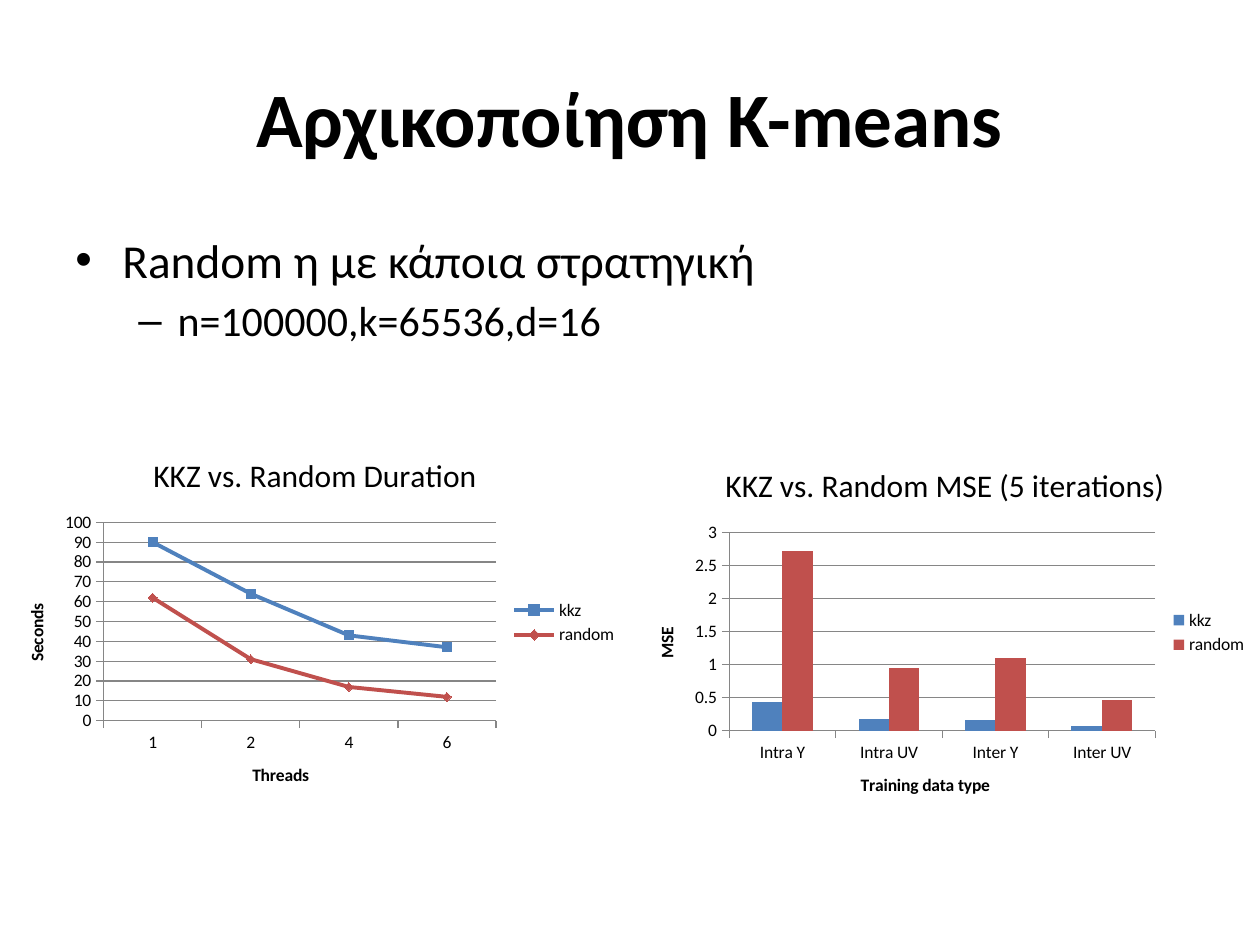
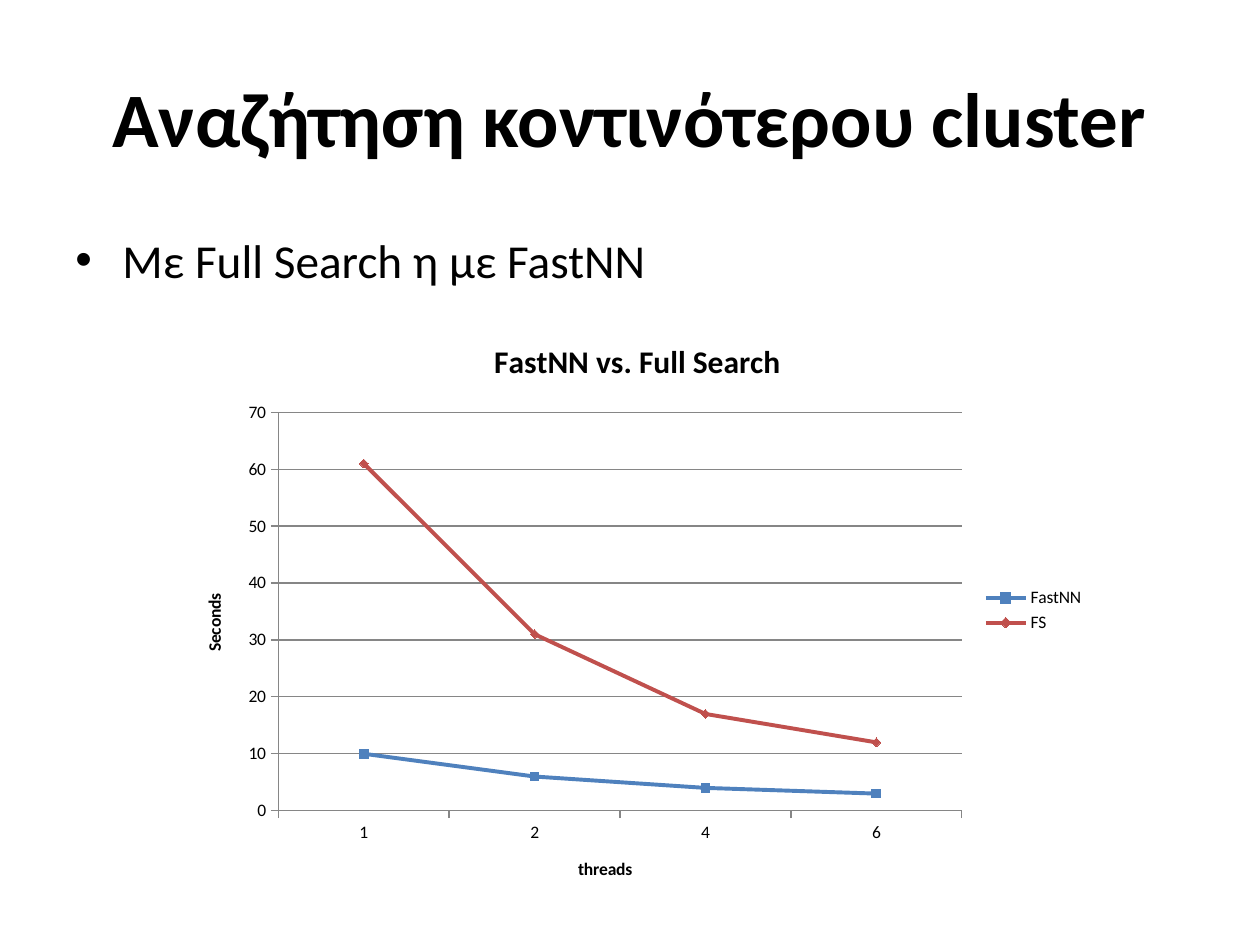
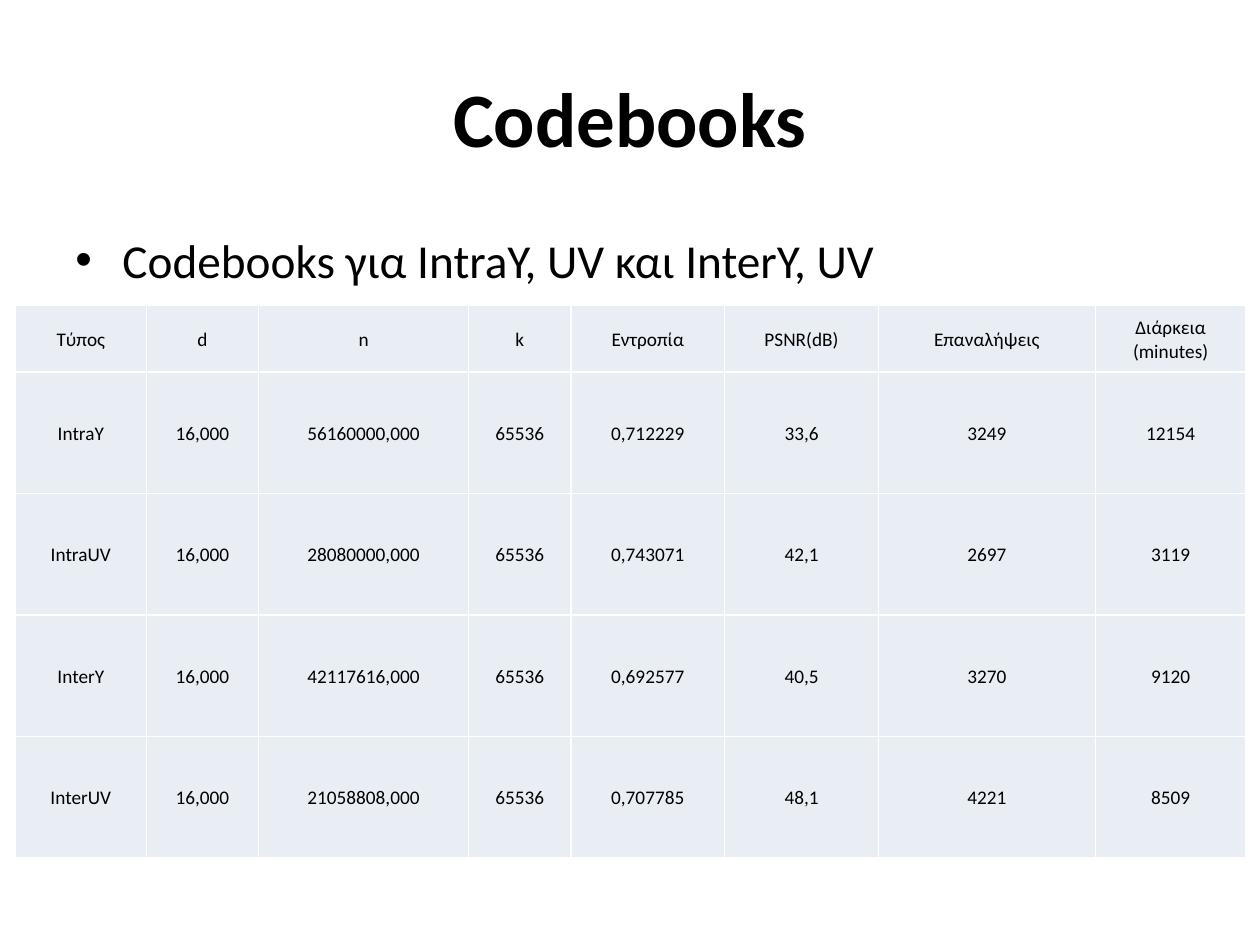
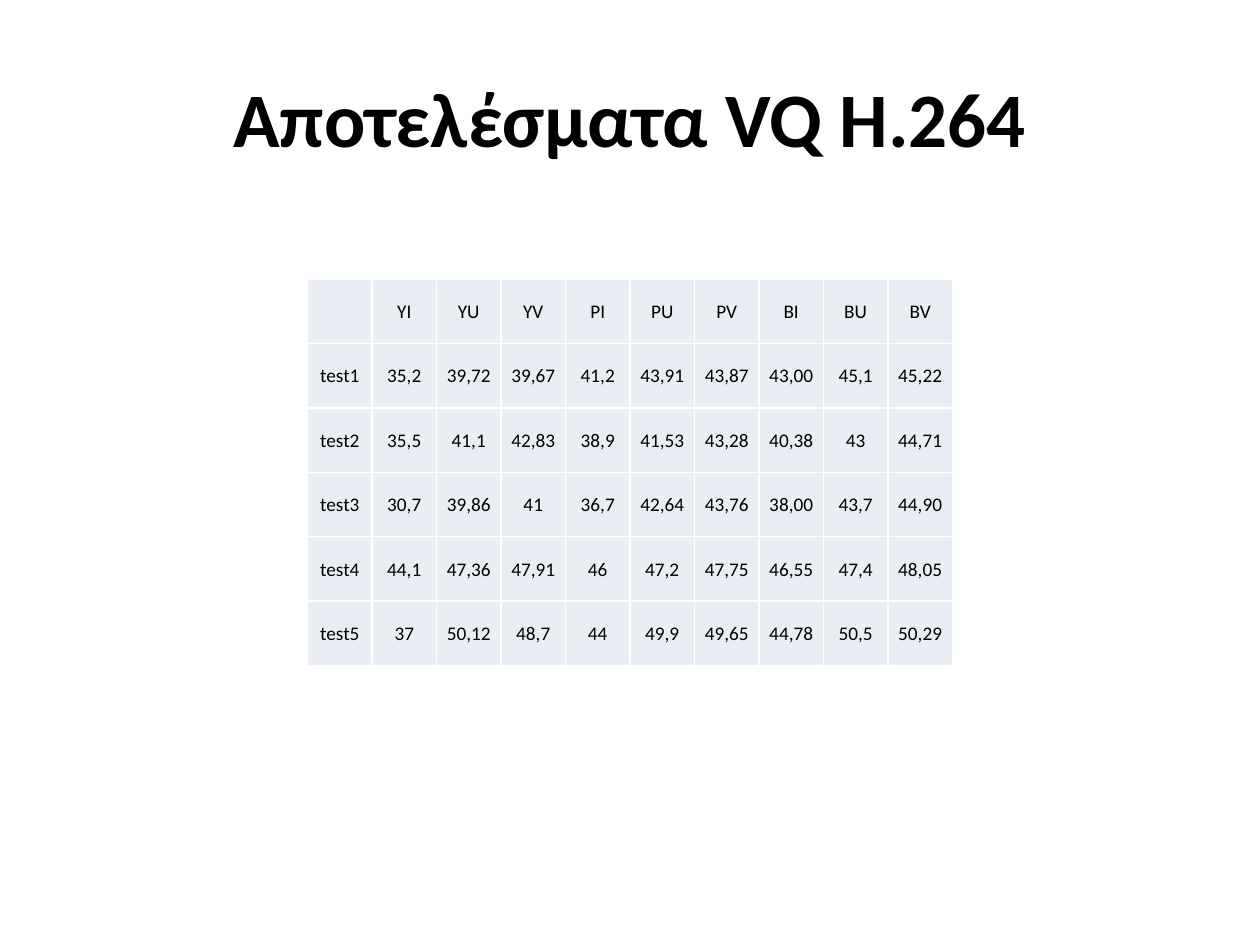
"""Build four slides on K-means initialisation, cluster search, codebooks and VQ H.264 results."""
from lxml.etree import SubElement
from pptx import Presentation
from pptx.chart.data import CategoryChartData
from pptx.dml.color import RGBColor
from pptx.enum.chart import XL_CHART_TYPE as ChartType
from pptx.enum.chart import XL_LEGEND_POSITION as LegendPosition
from pptx.enum.chart import XL_MARKER_STYLE as MarkerStyle
from pptx.enum.chart import XL_TICK_MARK as TickMark
from pptx.enum.text import MSO_ANCHOR as Anchor
from pptx.enum.text import PP_ALIGN as Align
from pptx.oxml.ns import qn
from pptx.util import Cm, Pt

BLACK = RGBColor(0x00, 0x00, 0x00)
WHITE = RGBColor(0xFF, 0xFF, 0xFF)
GRAY = RGBColor(0x86, 0x86, 0x86)
BLUE = RGBColor(0x4F, 0x81, 0xBD)
RED = RGBColor(0xC0, 0x50, 0x4D)
PALE = RGBColor(0xE9, 0xED, 0xF4)
FONT = "Calibri"

SERIES_STYLES = [(BLUE, MarkerStyle.SQUARE), (RED, MarkerStyle.DIAMOND)]
BULLET_LEVELS = [
    dict(size=27, bullet="•", indent=0.95, hanging=0.95),
    dict(size=24, bullet="–", indent=2.06, hanging=0.79, space_before=4),
]
THREADS = ["1", "2", "4", "6"]
LINE, COLUMN = ChartType.LINE_MARKERS, ChartType.COLUMN_CLUSTERED

SLIDES = [
    dict(
        title="Αρχικοποίηση K-means",
        bullets=["Random η με κάποια στρατηγική", "n=100000,k=65536,d=16"],
        charts=[
            dict(kind=LINE, place=(0, 8.74, 12.7, 7.62), title="KKZ vs. Random Duration",
                 bold=False, axis_titles=("Threads", "Seconds"), top=100, step=10,
                 categories=THREADS,
                 series={"kkz": [90, 64, 43, 37], "random": [62, 31, 17, 12]}),
            dict(kind=COLUMN, place=(12.7, 8.94, 12.7, 7.62),
                 title="ΚΚΖ vs. Random MSE (5 iterations)",
                 bold=False, axis_titles=("Training data type", "MSE"), top=3, step=0.5,
                 categories=["Intra Y", "Intra UV", "Inter Y", "Inter UV"],
                 series={"kkz": [0.43, 0.18, 0.16, 0.07],
                         "random": [2.71, 0.94, 1.09, 0.46]}),
        ],
    ),
    dict(
        title="Αναζήτηση κοντινότερου cluster",
        bullets=["Με Full Search η με FastNN"],
        charts=[
            dict(kind=LINE, place=(3.58, 6.35, 18.54, 11.91), title="FastNN vs. Full Search",
                 bold=True, axis_titles=("threads", "Seconds"), top=70, step=10,
                 categories=THREADS,
                 series={"FastNN": [10, 6, 4, 3], "FS": [61, 31, 17, 12]}),
        ],
    ),
    dict(
        title="Codebooks",
        bullets=["Codebooks για IntraY, UV και InterY, UV"],
        table=dict(
            left=0.31, top=6.16,
            widths=[2.64, 2.26, 4.24, 2.06, 3.1, 3.1, 4.37, 3.04],
            heights=[1.34] + [2.45] * 4,
            rows=[
                ["Τύπος", "d", "n", "k", "Εντροπία", "PSNR(dB)", "Επαναλήψεις",
                 "Διάρκεια (minutes)"],
                ["IntraY", "16,000", "56160000,000", "65536", "0,712229", "33,6", "3249", "12154"],
                ["IntraUV", "16,000", "28080000,000", "65536", "0,743071", "42,1", "2697", "3119"],
                ["InterY", "16,000", "42117616,000", "65536", "0,692577", "40,5", "3270", "9120"],
                ["InterUV", "16,000", "21058808,000", "65536", "0,707785", "48,1", "4221", "8509"],
            ],
        ),
    ),
    dict(
        title="Αποτελέσματα VQ H.264",
        table=dict(
            left=6.2, top=5.62, widths=[1.3] * 10, heights=[1.3] * 6,
            rows=[
                ["", "YI", "YU", "YV", "PI", "PU", "PV", "BI", "BU", "BV"],
                ["test1", "35,2", "39,72", "39,67", "41,2", "43,91", "43,87", "43,00", "45,1",
                 "45,22"],
                ["test2", "35,5", "41,1", "42,83", "38,9", "41,53", "43,28", "40,38", "43",
                 "44,71"],
                ["test3", "30,7", "39,86", "41", "36,7", "42,64", "43,76", "38,00", "43,7",
                 "44,90"],
                ["test4", "44,1", "47,36", "47,91", "46", "47,2", "47,75", "46,55", "47,4",
                 "48,05"],
                ["test5", "37", "50,12", "48,7", "44", "49,9", "49,65", "44,78", "50,5",
                 "50,29"],
            ],
        ),
    ),
]


def write(frame, text, size, bold=False, align=None, bullet=None, indent=0, hanging=0,
          space_before=0):
    """Add one formatted paragraph to a text frame."""
    paragraph = frame.add_paragraph() if frame.text else frame.paragraphs[0]
    if align is not None:
        paragraph.alignment = align
    if space_before:
        paragraph.space_before = Pt(space_before)
    if bullet:
        properties = paragraph._p.get_or_add_pPr()
        properties.set("marL", str(Cm(indent)))
        properties.set("indent", str(-Cm(hanging)))
        SubElement(properties, qn("a:buFont")).set("typeface", "Arial")
        SubElement(properties, qn("a:buChar")).set("char", bullet)
    run = paragraph.add_run()
    run.text = text
    run.font.name = FONT
    run.font.size = Pt(size)
    run.font.bold = bold
    run.font.color.rgb = BLACK


presentation = Presentation()
presentation.slide_width, presentation.slide_height = Cm(25.4), Cm(19.05)

for content in SLIDES:
    slide = presentation.slides.add_slide(presentation.slide_layouts[6])
    title = slide.shapes.add_textbox(Cm(1.27), Cm(0.76), Cm(22.86), Cm(3.18)).text_frame
    title.word_wrap = True
    title.vertical_anchor = Anchor.MIDDLE
    write(title, content["title"], size=44, bold=True, align=Align.CENTER)

    if "bullets" in content:
        body = slide.shapes.add_textbox(Cm(1.27), Cm(4.45), Cm(22.86), Cm(12.57)).text_frame
        body.word_wrap = True
        body.margin_top = Cm(0.21)
        for text, level in zip(content["bullets"], BULLET_LEVELS):
            write(body, text, **level)

    for item in content.get("charts", []):
        data = CategoryChartData()
        data.categories = item["categories"]
        for name, values in item["series"].items():
            data.add_series(name, values)
        place = [Cm(length) for length in item["place"]]
        chart = slide.shapes.add_chart(item["kind"], *place, data).chart
        chart.font.name, chart.font.size = FONT, Pt(10)
        chart.font.color.rgb = BLACK
        chart.has_title = True
        write(chart.chart_title.text_frame, item["title"], size=18, bold=item["bold"])
        chart.chart_title.include_in_layout = False
        chart.has_legend = True
        chart.legend.position = LegendPosition.RIGHT
        chart.legend.include_in_layout = False

        for axis, text in zip((chart.category_axis, chart.value_axis), item["axis_titles"]):
            write(axis.axis_title.text_frame, text, size=10, bold=True)
            axis.major_tick_mark = TickMark.OUTSIDE
            axis.minor_tick_mark = TickMark.NONE
            axis.format.line.color.rgb = GRAY
        chart.value_axis.minimum_scale = 0
        chart.value_axis.maximum_scale = item["top"]
        chart.value_axis.major_unit = item["step"]
        chart.value_axis.has_major_gridlines = True
        chart.value_axis.major_gridlines.format.line.color.rgb = GRAY

        plot = chart.plots[0]
        plot.vary_by_categories = False
        if item["kind"] == COLUMN:
            plot.gap_width, plot.overlap = 150, 0
        for series, (color, marker_style) in zip(plot.series, SERIES_STYLES):
            fills = [series.format.fill]
            if item["kind"] == LINE:
                series.smooth = False
                series.format.line.color.rgb = color
                series.format.line.width = Pt(2.25)
                series.marker.style = marker_style
                series.marker.size = 5
                series.marker.format.line.color.rgb = color
                fills = [series.marker.format.fill]
            for fill in fills:
                fill.solid()
                fill.fore_color.rgb = color

    if "table" in content:
        grid = content["table"]
        widths, heights = grid["widths"], grid["heights"]
        table = slide.shapes.add_table(
            len(heights), len(widths), Cm(grid["left"]), Cm(grid["top"]),
            Cm(sum(widths)), Cm(sum(heights))).table
        table.first_row = table.horz_banding = False
        for column, width in zip(table.columns, widths):
            column.width = Cm(width)
        for row, height, texts in zip(table.rows, heights, grid["rows"]):
            row.height = Cm(height)
            for cell, text in zip(row.cells, texts):
                cell.margin_left = cell.margin_right = cell.margin_top = Cm(0.03)
                cell.margin_bottom = 0
                cell.vertical_anchor = Anchor.MIDDLE
                for side in ("a:lnL", "a:lnR", "a:lnT", "a:lnB"):
                    border = SubElement(cell._tc.get_or_add_tcPr(), qn(side), w=str(Pt(1)))
                    border_fill = SubElement(border, qn("a:solidFill"))
                    SubElement(border_fill, qn("a:srgbClr"), val=str(WHITE))
                cell.fill.solid()
                cell.fill.fore_color.rgb = PALE
                if text:
                    write(cell.text_frame, text, size=11, align=Align.CENTER)

presentation.save("out.pptx")
